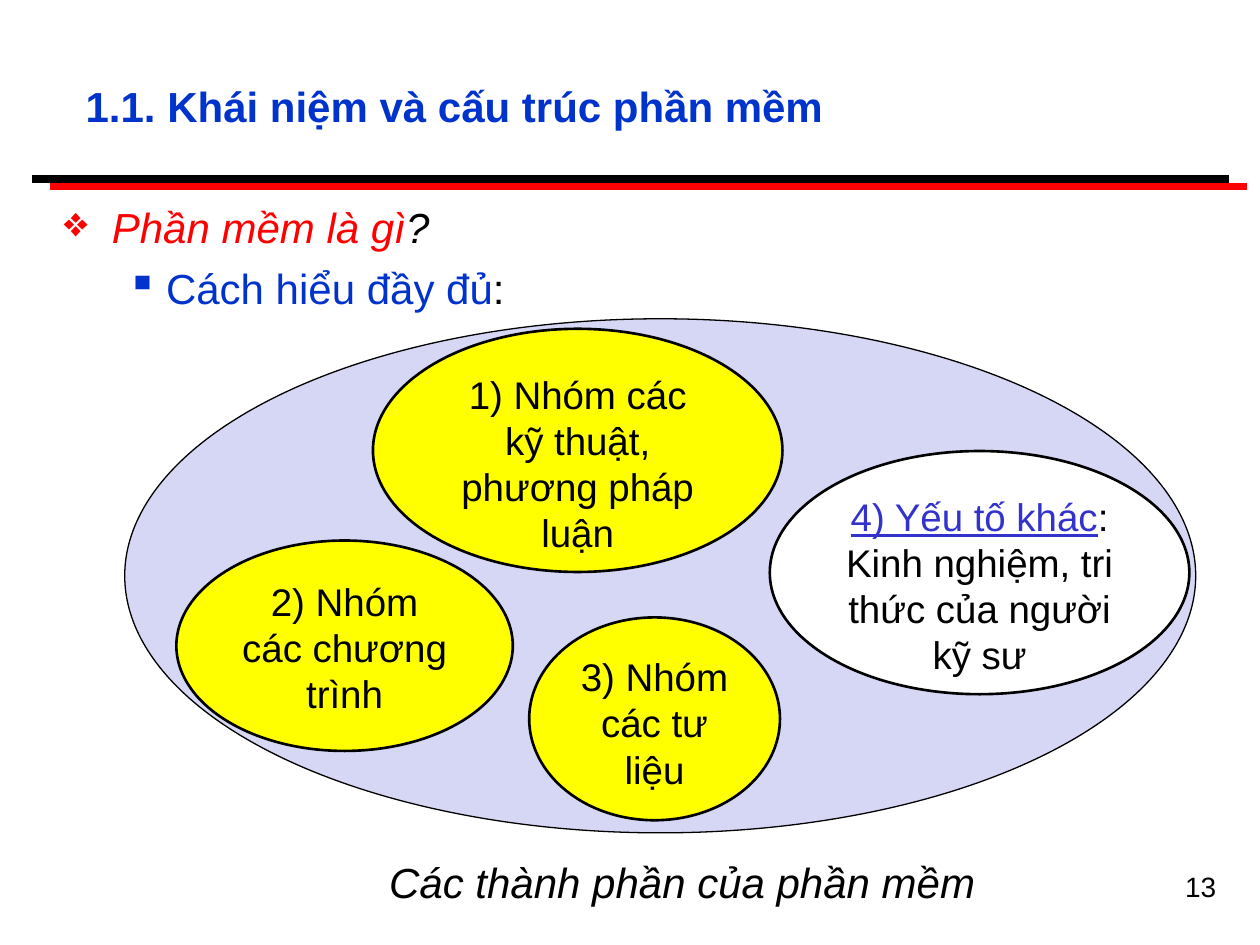
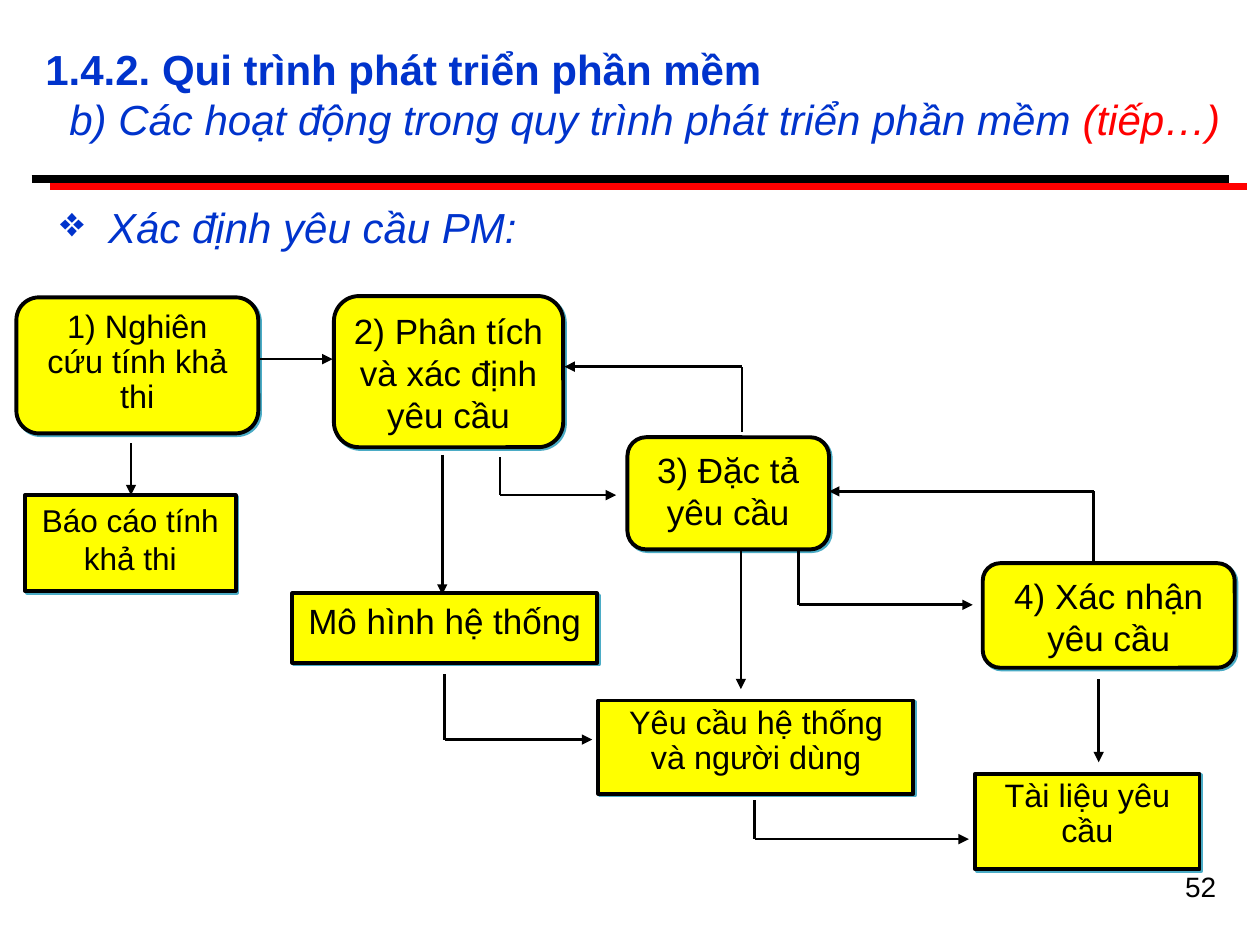
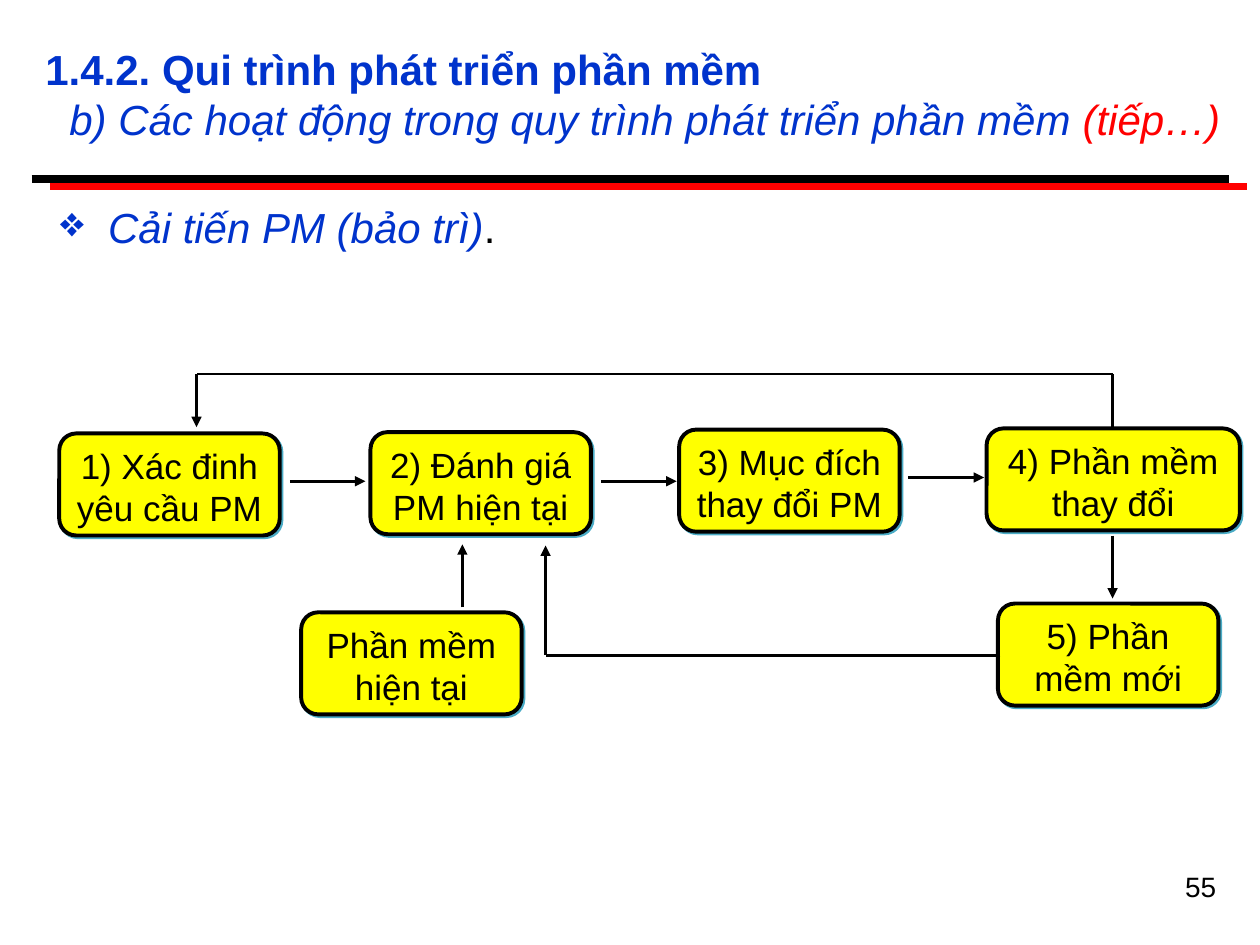
from dataclasses import dataclass
from itertools import pairwise

from lxml import etree
from pptx import Presentation
from pptx import util as u
from pptx.dml.color import RGBColor
from pptx.enum import shapes, text
from pptx.oxml.ns import qn

PX = 9144
OVAL = shapes.MSO_SHAPE.OVAL
ROUND = shapes.MSO_SHAPE.ROUNDED_RECTANGLE
BLOCK = shapes.MSO_SHAPE.FLOWCHART_PROCESS
LEFT, MID, RIGHT = text.PP_ALIGN.LEFT, text.PP_ALIGN.CENTER, text.PP_ALIGN.RIGHT


@dataclass(frozen=True)
class Theme:
    font: str = "Arial"
    black: str = "000000"
    white: str = "FFFFFF"
    blue: str = "0033CC"
    link: str = "3333CC"
    red: str = "FF0000"
    yellow: str = "FFFF00"
    lilac: str = "D6D6F5"
    shade: str = "4BACC6"
    head: float = 24
    oval: float = 22
    node: float = 20
    tight: float = 18.5
    small: float = 18
    page: float = 16


T = Theme()


def px(*nums):
    return [u.Emu(n * PX) for n in nums]


def rgb(code):
    return RGBColor.from_string(code)


def indent(par, left, first=0):
    props = par._p.get_or_add_pPr()
    props.set("marL", str(left * PX))
    props.set("indent", str(first * PX))
    return props


def bullet(par, mark, color, left, hang):
    props = indent(par, left, -hang)
    tint = etree.SubElement(props, qn("a:buClr"))
    etree.SubElement(tint, qn("a:srgbClr"), val=color)
    etree.SubElement(props, qn("a:buChar"), char=mark)


def write(par, runs, size, align=LEFT):
    par.alignment = align
    par.font.name = T.font
    par.font.size = u.Pt(size)
    for words, color, style in runs:
        run = par.add_run()
        run.text = words
        run.font.color.rgb = rgb(color)
        run.font.bold = "b" in style
        run.font.italic = "i" in style
        run.font.underline = "u" in style


def label(slide, box, runs, size, align=LEFT):
    frame = slide.shapes.add_textbox(*px(*box)).text_frame
    frame.word_wrap = True
    write(frame.paragraphs[0], runs, size, align)


def title(slide, box, lines):
    shape = slide.shapes.title
    shape.left, shape.top, shape.width, shape.height = px(*box)
    frame = shape.text_frame
    frame.auto_size = text.MSO_AUTO_SIZE.NONE
    frame.vertical_anchor = text.MSO_ANCHOR.MIDDLE
    for num, (left, runs) in enumerate(lines):
        par = frame.add_paragraph() if num else frame.paragraphs[0]
        indent(par, left)
        write(par, runs, T.head)


def points(slide, left, items):
    frame = slide.shapes.add_textbox(*px(left, 155, 933, 100)).text_frame
    frame.word_wrap = True
    for num, (mark, color, edge, hang, runs) in enumerate(items):
        par = frame.add_paragraph() if num else frame.paragraphs[0]
        bullet(par, mark, color, edge, hang)
        if num:
            par.space_before = u.Pt(6)
        write(par, runs, T.head)


def shape(slide, kind, box, fill, width, runs=(), size=T.node):
    item = slide.shapes.add_shape(kind, *px(*box))
    item.shadow.inherit = False
    item.fill.solid()
    item.fill.fore_color.rgb = rgb(fill)
    item.line.color.rgb = rgb(T.black)
    item.line.width = u.Pt(width)
    if runs:
        item.text_frame.vertical_anchor = text.MSO_ANCHOR.TOP
        write(item.text_frame.paragraphs[0], runs, size, MID)
    return item


def node(slide, kind, box, words, size=T.node):
    item = shape(slide, kind, box, T.yellow, 2.25, [(words, T.black, "")], size)
    if size == T.tight:
        item.text_frame.paragraphs[0].line_spacing = 0.9
    glow = item.element.spPr.find(qn("a:effectLst"))
    drop = etree.SubElement(glow, qn("a:outerShdw"), dist=str(u.Pt(1.4)),
                            dir="2700000", algn="ctr", rotWithShape="0")
    etree.SubElement(drop, qn("a:srgbClr"), val=T.shade)


def line(slide, start, end, color=T.black, width=1.5, arrow=False):
    item = slide.shapes.add_connector(shapes.MSO_CONNECTOR.STRAIGHT,
                                      *px(*start, *end))
    item.line.color.rgb = rgb(color)
    item.line.width = u.Pt(width)
    if arrow:
        etree.SubElement(item.line._get_or_add_ln(), qn("a:tailEnd"),
                         type="triangle")
    etree.SubElement(item.element.spPr, qn("a:effectLst"))
    return item


def route(slide, *stops):
    for start, end in pairwise(stops):
        line(slide, start, end, arrow=end == stops[-1])


def bands(slide):
    for left, top, color in ((25, 142, T.black), (40, 148, T.red)):
        bar = line(slide, (left, top), (left + 950, top), color, 4.5)
        slide.slide_layout.shapes.element.append(bar.element)


def start(deck, page):
    slide = deck.slides.add_slide(deck.slide_layouts[5])
    label(slide, (900, 685, 75, 52), [(page, T.black, "")], T.page, RIGHT)
    return slide


def process(deck, page, runs):
    slide = start(deck, page)
    title(slide, (17, 33, 967, 83), [
        (9, [("1.4.2. Qui trình phát triển phần mềm", T.blue, "b")]),
        (28, [("b) Các hoạt động trong quy trình phát triển phần mềm ", T.blue, "i"),
              ("(tiếp…)", T.red, "i")]),
    ])
    points(slide, 38, [("❖", T.blue, 38, 38, runs)])
    return slide


def concept(deck):
    slide = start(deck, "13")
    bands(slide)
    title(slide, (58, 50, 908, 67),
          [(0, [("1.1. Khái niệm và cấu trúc phần mềm", T.blue, "b")])])
    points(slide, 41, [
        ("❖", T.red, 38, 38, [("Phần mềm là gì", T.red, "i"), ("?", T.black, "i")]),
        ("▪", T.blue, 81, 31, [("Cách hiểu đầy đủ", T.blue, ""), (":", T.black, "")]),
    ])
    shape(slide, OVAL, (99, 253, 850, 408), T.lilac, 0.75)
    shape(slide, OVAL, (611, 358, 333, 193), T.white, 1.5,
          [("4) Yếu tố khác", T.link, "u"),
           (": Kinh nghiệm, tri thức của người kỹ sư", T.black, "")], T.oval)
    for box, words in (
        ((296, 261, 325, 193), "1) Nhóm các kỹ thuật, phương pháp luận"),
        ((140, 429, 267, 167), "2) Nhóm các chương trình"),
        ((420, 490, 199, 161), "3) Nhóm các tư liệu"),
    ):
        shape(slide, OVAL, box, T.yellow, 1.5, [(words, T.black, "")], T.oval)
    label(slide, (299, 675, 517, 67),
          [("Các thành phần của phần mềm", T.black, "i")], T.head)


def require(deck):
    slide = process(deck, "52", [("Xác định yêu cầu PM:", T.blue, "i")])
    for kind, box, words, size in (
        (ROUND, (13, 236, 192, 108), "1) Nghiên cứu tính khả thi", T.tight),
        (ROUND, (265, 235, 182, 120), "2) Phân tích và xác định yêu cầu", T.node),
        (ROUND, (780, 447, 200, 83), "4) Xác nhận yêu cầu", T.node),
        (ROUND, (498, 347, 160, 89), "3) Đặc tả yêu cầu", T.node),
        (BLOCK, (20, 393, 167, 76), "Báo cáo tính khả thi", T.small),
        (BLOCK, (232, 471, 242, 55), "Mô hình hệ thống", T.node),
        (BLOCK, (475, 556, 250, 74), "Yêu cầu hệ thống và người dùng", T.tight),
        (BLOCK, (774, 614, 178, 76), "Tài liệu yêu cầu", T.tight),
    ):
        node(slide, kind, box, words, size)
    for stops in (
        ((104, 352), (104, 393)),
        ((351, 361), (351, 472)),
        ((588, 436), (588, 547)),
        ((872, 539), (872, 605)),
        ((204, 285), (264, 285)),
        ((634, 436), (634, 480), (772, 480)),
        ((397, 363), (397, 393), (489, 393)),
        ((868, 448), (868, 390), (658, 390)),
        ((589, 343), (589, 291), (448, 291)),
        ((599, 635), (599, 666), (769, 666)),
        ((353, 535), (353, 587), (470, 587)),
    ):
        route(slide, *stops)


def improve(deck):
    slide = process(deck, "55", [("Cải tiến PM (bảo trì)", T.blue, "i"),
                                 (".", T.black, "")])
    for left, top, width, words in (
        (47, 344, 175, "1) Xác đinh yêu cầu PM"),
        (294, 343, 175, "2) Đánh giá PM hiện tại"),
        (539, 341, 175, "3) Mục đích thay đổi PM"),
        (783, 340, 201, "4) Phần mềm thay đổi"),
        (239, 486, 175, "Phần mềm hiện tại"),
        (792, 479, 175, "5) Phần mềm mới"),
    ):
        node(slide, ROUND, (left, top, width, 81), words)
    for left, top in ((230, 382), (477, 382), (721, 379)):
        route(slide, (left, top), (left + 60, top))
    route(slide, (883, 339), (883, 297), (156, 297), (156, 339))
    route(slide, (367, 482), (367, 432))
    route(slide, (794, 520), (433, 520), (433, 433))
    route(slide, (883, 425), (883, 475))


def main():
    deck = Presentation()
    deck.slide_width, deck.slide_height = px(1000, 750)
    concept(deck)
    require(deck)
    improve(deck)
    deck.save("out.pptx")


if __name__ == "__main__":
    main()
